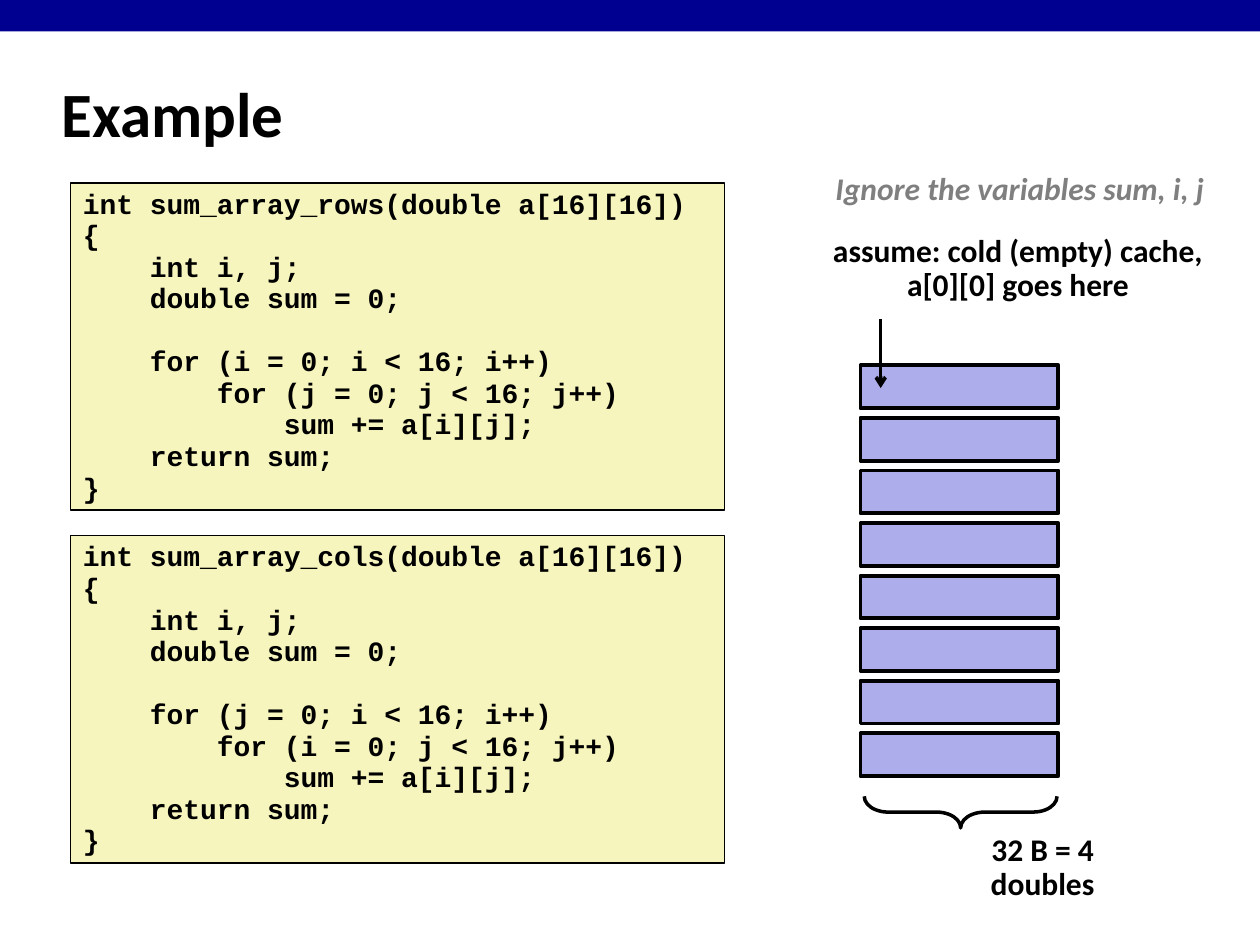
from dataclasses import dataclass

import pptx
import pptx.dml.color
import pptx.enum.shapes
import pptx.enum.text
import pptx.oxml
import pptx.oxml.ns
import pptx.util

Inches = pptx.util.Inches
Pt = pptx.util.Pt
MSO_SHAPE = pptx.enum.shapes.MSO_SHAPE
ALIGN = pptx.enum.text.PP_ALIGN
ANCHOR = pptx.enum.text.MSO_ANCHOR


@dataclass(frozen=True)
class Theme:
    navy: str = "000090"
    black: str = "000000"
    grey: str = "7F7F7F"
    code_fill: str = "F6F5BD"
    cache_fill: str = "ADADEB"
    sans: str = "Calibri"
    mono: str = "Courier New"
    title_size: int = 36
    label_size: int = 18
    code_size: int = 16


THEME = Theme()

CODE = """int sum_array_{name}(double a[16][16])
{{
    int i, j;
    double sum = 0;

    for ({outer} = 0; i < 16; i++)
        for ({inner} = 0; j < 16; j++)
            sum += a[i][j];
    return sum;
}}"""


def rgb(value):
    return pptx.dml.color.RGBColor.from_string(value)


def write(tf, text, spacing, align, color=THEME.black, **font):
    """Fill a text frame, one paragraph per line of text."""
    tf.text = text
    for p in tf.paragraphs:
        p.alignment = align
        p.line_spacing = spacing
        p.space_before = Pt(0)
        for key, value in {"bold": True, **font}.items():
            setattr(p.font, key, value)
        p.font.color.rgb = rgb(color)


def add_rect(s, box, fill, line_width=None):
    sp = s.shapes.add_shape(MSO_SHAPE.RECTANGLE, *map(Inches, box))
    sp.shadow.inherit = False
    sp.fill.solid()
    sp.fill.fore_color.rgb = rgb(fill)
    if line_width is None:
        sp.line.fill.background()
    else:
        sp.line.color.rgb = rgb(THEME.black)
        sp.line.width = Pt(line_width)
    return sp


def add_title(s, box, text):
    sp = s.shapes.title
    sp.left, sp.top, sp.width, sp.height = map(Inches, box)
    tf = sp.text_frame
    tf.auto_size = pptx.enum.text.MSO_AUTO_SIZE.NONE
    tf.vertical_anchor = ANCHOR.MIDDLE
    write(tf, text, 1.0, ALIGN.LEFT, name=THEME.sans, size=Pt(THEME.title_size))


def add_code(s, box, text):
    tf = add_rect(s, box, THEME.code_fill, 1).text_frame
    tf.word_wrap = True
    tf.vertical_anchor = ANCHOR.TOP
    write(tf, text, 0.94, ALIGN.LEFT, name=THEME.mono, size=Pt(THEME.code_size))


def add_label(s, box, text, **style):
    tf = s.shapes.add_textbox(*map(Inches, box)).text_frame
    tf.word_wrap = False
    write(tf, text, 0.9, ALIGN.CENTER, name=THEME.sans,
          size=Pt(THEME.label_size), **style)


def add_cache(s, box, lines=8, line_height=0.34):
    """Stack equally spaced cache lines from the top to the bottom of the box."""
    left, top, width, height = box
    pitch = (height - line_height) / (lines - 1)
    for i in range(lines):
        add_rect(s, (left, top + i * pitch, width, line_height), THEME.cache_fill, 2.25)


def add_arrow(s, x, top, bottom):
    line = s.shapes.add_connector(pptx.enum.shapes.MSO_CONNECTOR.STRAIGHT,
                                  *map(Inches, (x, top, x, bottom)))
    line.line.color.rgb = rgb(THEME.black)
    line.line.width = Pt(2)
    ns = pptx.oxml.ns.nsdecls("a")
    line.line._get_or_add_ln().append(
        pptx.oxml.parse_xml(f'<a:tailEnd {ns} type="arrow"/>'))
    line._element.spPr.append(pptx.oxml.parse_xml(f"<a:effectLst {ns}/>"))


def add_brace_below(s, box):
    """Turn a left brace so that it fills the box and points down."""
    left, top, width, height = box
    x = left + (width - height) / 2
    y = top + (height - width) / 2
    sp = s.shapes.add_shape(MSO_SHAPE.LEFT_BRACE, *map(Inches, (x, y, height, width)))
    sp.rotation = 270
    sp.adjustments[0] = 0.76
    sp.shadow.inherit = False
    sp.fill.background()
    sp.line.color.rgb = rgb(THEME.black)
    sp.line.width = Pt(2)


def main():
    prs = pptx.Presentation()
    prs.slide_width, prs.slide_height = Inches(10), Inches(7.5)
    s = prs.slides.add_slide(prs.slide_layouts.get_by_name("Title Only"))

    add_rect(s, (0, 0, 10, 0.25), THEME.navy)
    add_title(s, (0.39, 0.48, 8.3, 0.83), "Example")
    for top, name, outer, inner in ((1.45, "rows", "i", "j"), (4.25, "cols", "j", "i")):
        add_code(s, (0.56, top, 5.19, 2.6),
                 CODE.format(name=name, outer=outer, inner=inner))

    add_label(s, (6.53, 1.33, 3.13, 0.37), "Ignore the variables sum, i, j",
              color=THEME.grey, italic=True)
    add_label(s, (6.51, 1.82, 3.14, 0.64),
              "assume: cold (empty) cache,\na[0][0] goes here")
    add_cache(s, (6.83, 2.9, 1.57, 3.26))
    add_arrow(s, 6.99, 2.53, 3.08)
    add_brace_below(s, (6.86, 6.32, 1.53, 0.25))
    add_label(s, (7.33, 6.57, 1.89, 0.37), "32 B = 4 doubles")
    prs.save("out.pptx")


if __name__ == "__main__":
    main()
